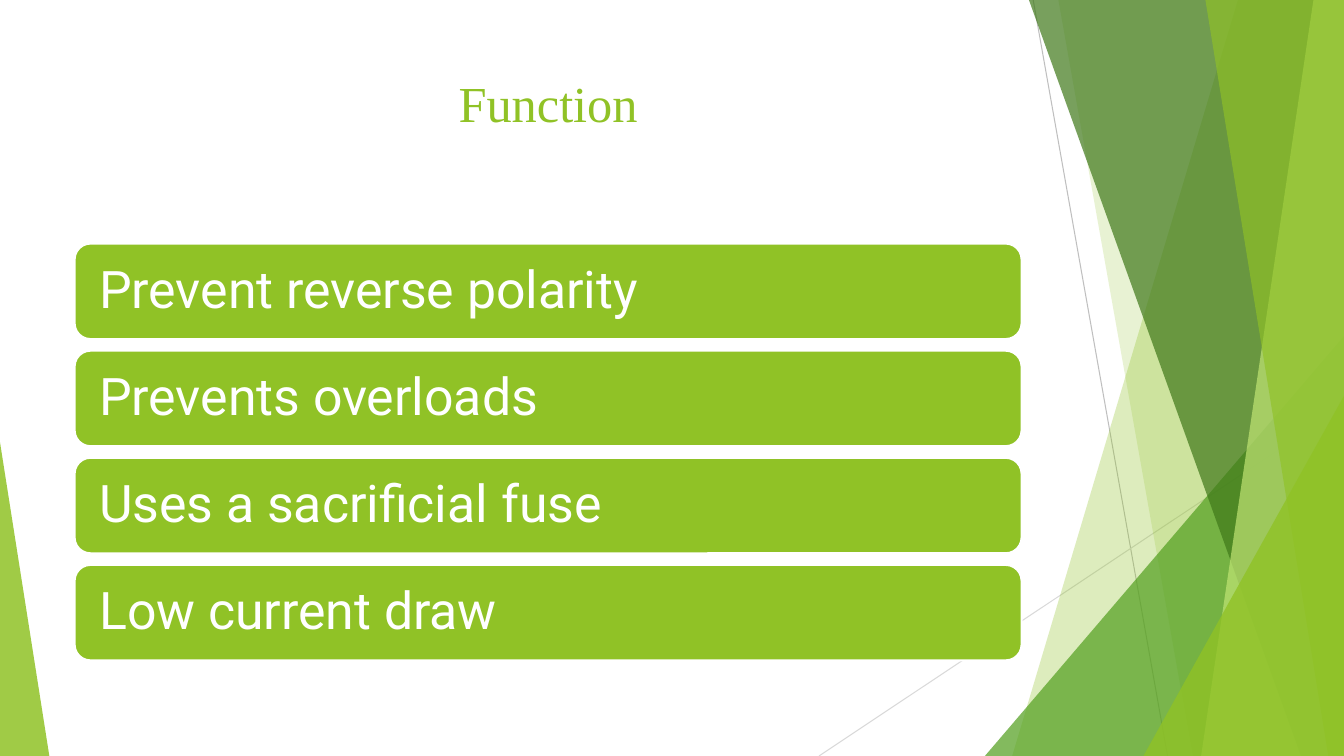
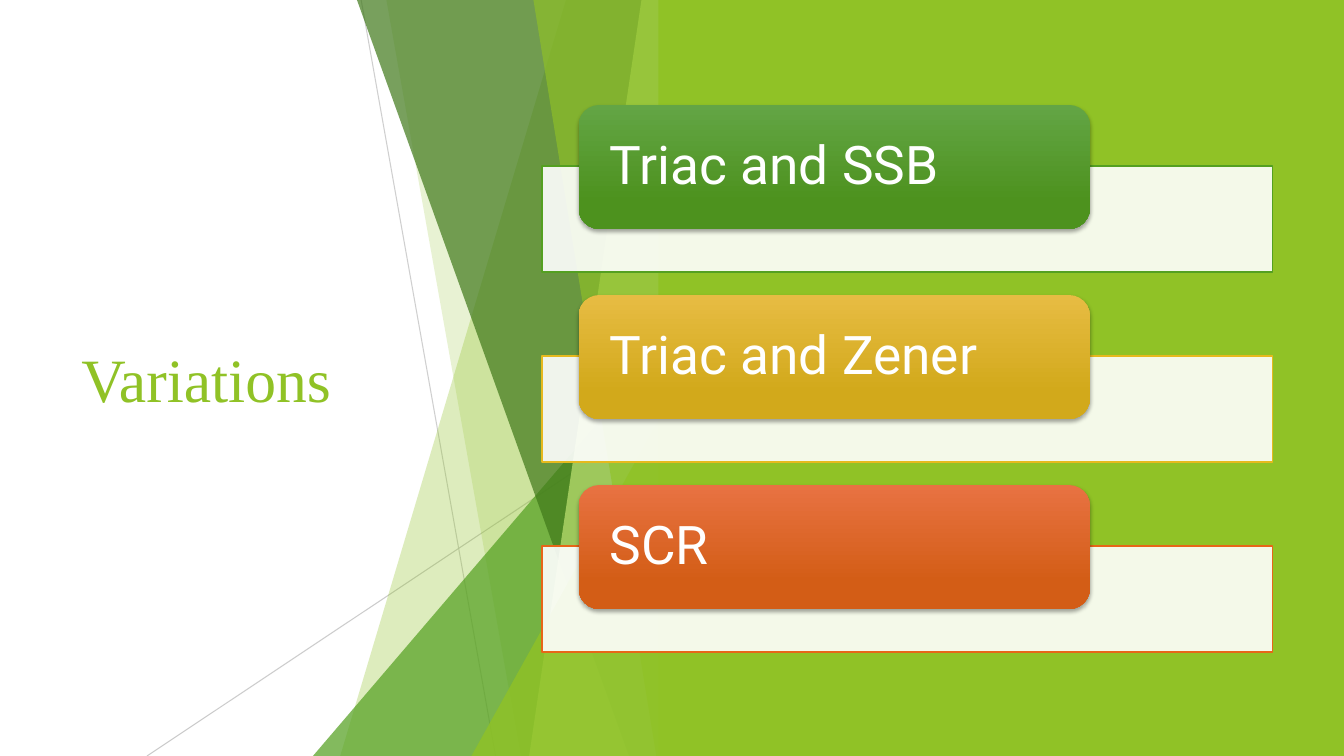
from typing import NamedTuple

from lxml.etree import SubElement
from pptx import Presentation
from pptx.dml.color import RGBColor
from pptx.enum.shapes import MSO_CONNECTOR, MSO_SHAPE
from pptx.enum.text import MSO_ANCHOR, PP_ALIGN
from pptx.oxml.ns import qn
from pptx.util import Emu, Pt

PX = 9525
WIDE, HIGH = 1280, 720
LIME, GREEN, GOLD, RUST = "90C226", "54A021", "E6B91E", "E76618"
FOREST, PALE, WHITE = "3F7819", "C0E474", "FFFFFF"
GRAY, LIGHT = "BFBFBF", "D9D9D9"
SERIF, SANS = "Times New Roman", "Roboto"


class Box(NamedTuple):
    left: int
    top: int
    width: int
    height: int

    def down(self, gap: int) -> "Box":
        return self._replace(top=self.top + gap)


class Slant(NamedTuple):
    top: int
    base: int
    color: str
    alpha: int


class Wedge(NamedTuple):
    box: Box
    tip: int
    color: str
    alpha: int


class Ray(NamedTuple):
    start: tuple[int, int]
    end: tuple[int, int]


class Tone(NamedTuple):
    color: str
    alpha: int = 100


class Topic(NamedTuple):
    text: str
    edge: str
    top: str
    base: str


RAYS = [Ray((984, 0), (1112, HIGH)), Ray((WIDE, 387), (780, HIGH))]
FACETS = [
    Slant(1179, 964, LIME, 30),
    Slant(1008, 1136, LIME, 20),
    Wedge(Box(938, 320, 342, 400), 1, GREEN, 72),
    Slant(980, 1239, FOREST, 70),
    Slant(1251, 1144, PALE, 70),
    Slant(1148, 1265, LIME, 65),
    Wedge(Box(1089, 377, 191, 343), 1, LIME, 80),
]
CORNER = Wedge(Box(0, 421, 47, 299), 0, LIME, 85)

BAR, BAR_STEP = Box(71, 232, 902, 91), 102
USES = ["Prevent reverse polarity", "Prevents overloads",
        "Uses a sacrificial fuse", "Low current draw"]

PANEL, PILL, STEP = Box(516, 158, 696, 101), Box(551, 100, 487, 118), 181
TOPICS = [
    Topic("Triac and SSB", GREEN, "63A545", "4D921E"),
    Topic("Triac and Zener", GOLD, "E7BC43", "D2A91B"),
    Topic("SCR", RUST, "E87242", "D35D16"),
]


def px(count: int) -> Emu:
    return Emu(count * PX)


def rgb(code: str) -> RGBColor:
    return RGBColor.from_string(code)


def fade(shape, alpha: int) -> None:
    if alpha < 100:
        color = next(shape.element.iter(qn("a:srgbClr")))
        SubElement(color, qn("a:alpha")).set("val", str(alpha * 1000))


def paint(shape, color: str, alpha: int = 100) -> None:
    shape.shadow.inherit = False
    shape.line.fill.background()
    shape.fill.solid()
    shape.fill.fore_color.rgb = rgb(color)
    fade(shape, alpha)


def edge(shape, color: str, points: float) -> None:
    shape.line.color.rgb = rgb(color)
    shape.line.width = Pt(points)


def block(slide, box: Box, color: str, kind=MSO_SHAPE.RECTANGLE, alpha: int = 100):
    shape = slide.shapes.add_shape(kind, *map(px, box))
    paint(shape, color, alpha)
    return shape


def write(shape, text: str, size: int, font: str, color: str) -> None:
    frame = shape.text_frame
    frame.word_wrap = True
    frame.text = text
    face = frame.paragraphs[0].runs[0].font
    face.name, face.size = font, Pt(size)
    face.color.rgb = rgb(color)


def label(shape, text: str, size: int, inset: int) -> None:
    write(shape, text, size, SANS, WHITE)
    frame = shape.text_frame
    frame.vertical_anchor = MSO_ANCHOR.MIDDLE
    frame.margin_left = frame.margin_right = px(inset)
    frame.margin_top = frame.margin_bottom = 0
    frame.paragraphs[0].alignment = PP_ALIGN.LEFT
    frame.paragraphs[0].line_spacing = 0.9


def title(slide, text: str, box: Box, size: int, anchor, align) -> None:
    shape = slide.shapes.add_textbox(*map(px, box))
    write(shape, text, size, SERIF, LIME)
    shape.text_frame.vertical_anchor = anchor
    shape.text_frame.paragraphs[0].alignment = align


def draw_ray(slide, ray: Ray, tone: Tone, shift: int) -> None:
    (x1, y1), (x2, y2) = ray
    line = slide.shapes.add_connector(
        MSO_CONNECTOR.STRAIGHT, px(x1 - shift), px(y1), px(x2 - shift), px(y2))
    edge(line, tone.color, 0.75)
    fade(line, tone.alpha)
    SubElement(line.element.spPr, qn("a:effectLst"))


def draw_slant(slide, slant: Slant, shift: int) -> None:
    right = px(WIDE - shift)
    form = slide.shapes.build_freeform(px(slant.top - shift), 0)
    form.add_line_segments(
        [(right, 0), (right, px(HIGH)), (px(slant.base - shift), px(HIGH))])
    paint(form.convert_to_shape(), slant.color, slant.alpha)


def draw_wedge(slide, wedge: Wedge, shift: int = 0) -> None:
    box = wedge.box._replace(left=wedge.box.left - shift)
    shape = block(slide, box, wedge.color, MSO_SHAPE.ISOSCELES_TRIANGLE, wedge.alpha)
    shape.adjustments[0] = wedge.tip


def draw_facets(slide, tones: list[Tone], shift: int = 0) -> None:
    for ray, tone in zip(RAYS, tones):
        draw_ray(slide, ray, tone, shift)
    for facet in FACETS:
        draw = draw_slant if isinstance(facet, Slant) else draw_wedge
        draw(slide, facet, shift)


def draw_bar(slide, box: Box, text: str) -> None:
    bar = block(slide, box, LIME, MSO_SHAPE.ROUNDED_RECTANGLE)
    edge(bar, WHITE, 1.5)
    label(bar, text, 37, 19)


def cast(shape) -> None:
    effects = shape.element.spPr.find(qn("a:effectLst"))
    shade = SubElement(effects, qn("a:outerShdw"), blurRad=str(Pt(3)),
                       dist=str(Pt(2)), dir="5400000", rotWithShape="0")
    color = SubElement(shade, qn("a:srgbClr"), val="000000")
    SubElement(color, qn("a:alpha"), val="35000")


def draw_topic(slide, topic: Topic, gap: int) -> None:
    panel = block(slide, PANEL.down(gap), WHITE, alpha=90)
    edge(panel, topic.edge, 1)
    pill = block(slide, PILL.down(gap), topic.base, MSO_SHAPE.ROUNDED_RECTANGLE)
    pill.fill.gradient()
    pill.fill.gradient_angle = 270
    stops = zip(pill.fill.gradient_stops, (topic.top, topic.base), (0, 0.78))
    for stop, color, place in stops:
        stop.color.rgb = rgb(color)
        stop.position = place
    cast(pill)
    label(pill, topic.text, 38, 24)


def function_slide(slide) -> None:
    draw_facets(slide, [Tone(GRAY), Tone(LIGHT)])
    draw_wedge(slide, CORNER)
    title(slide, "Function", Box(71, 64, 902, 138), 36,
          MSO_ANCHOR.TOP, PP_ALIGN.CENTER)
    for row, text in enumerate(USES):
        draw_bar(slide, BAR.down(row * BAR_STEP), text)


def variants_slide(slide) -> None:
    title(slide, "Variations", Box(68, 145, 372, 430), 44,
          MSO_ANCHOR.MIDDLE, PP_ALIGN.LEFT)
    draw_facets(slide, [Tone(GRAY, 75), Tone(GRAY, 80)], WIDE // 2)
    block(slide, Box(627, 0, 653, HIGH), LIME)
    for row, topic in enumerate(TOPICS):
        draw_topic(slide, topic, row * STEP)


def main() -> None:
    deck = Presentation()
    deck.slide_width, deck.slide_height = px(WIDE), px(HIGH)
    for build in (function_slide, variants_slide):
        build(deck.slides.add_slide(deck.slide_layouts[6]))
    deck.save("out.pptx")


if __name__ == "__main__":
    main()
